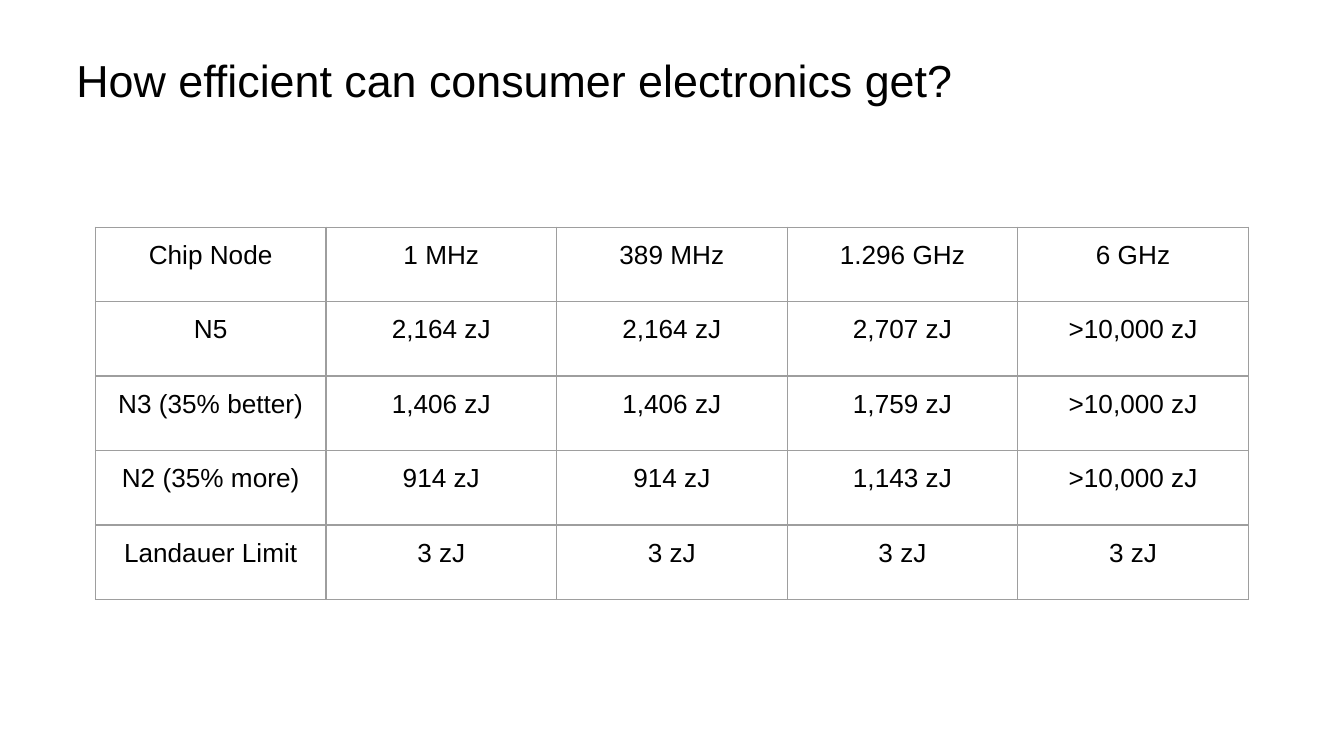
from typing import NamedTuple

from lxml import etree
from pptx import Presentation
from pptx import util as u
from pptx.dml.color import RGBColor
from pptx.enum import text
from pptx.oxml import ns

COLORS = {"text": "000000", "border": "9E9E9E", "background": "FFFFFF"}
FONT = "Arial"
INSET = u.Inches(0.1)
SLIDE_WIDTH = u.Inches(10)
SLIDE_HEIGHT = SLIDE_WIDTH * 9 // 16
TABLE_WIDTH = u.Inches(8.58)
TABLE_HEIGHT = u.Inches(2.77)


class EnergyRow(NamedTuple):
    node: str
    slow: str
    medium: str
    fast: str
    fastest: str


ROWS = [
    EnergyRow("Chip Node", "1 MHz", "389 MHz", "1.296 GHz", "6 GHz"),
    EnergyRow("N5", "2,164 zJ", "2,164 zJ", "2,707 zJ", ">10,000 zJ"),
    EnergyRow("N3 (35% better)", "1,406 zJ", "1,406 zJ", "1,759 zJ", ">10,000 zJ"),
    EnergyRow("N2 (35% more)", "914 zJ", "914 zJ", "1,143 zJ", ">10,000 zJ"),
    EnergyRow("Landauer Limit", "3 zJ", "3 zJ", "3 zJ", "3 zJ"),
]


def add_run(p, content: str, size: int) -> None:
    r = p.add_run()
    r.text = content
    r.font.name = FONT
    r.font.size = u.Pt(size)
    r.font.color.rgb = RGBColor.from_string(COLORS["text"])


def set_insets(box) -> None:
    box.margin_left = box.margin_right = INSET
    box.margin_top = box.margin_bottom = INSET


def add_borders(cell) -> None:
    tc_pr = cell._tc.get_or_add_tcPr()
    for side in ("lnL", "lnR", "lnT", "lnB"):
        ln = etree.SubElement(tc_pr, ns.qn(f"a:{side}"), w=str(u.Pt(0.75)))
        fill = etree.SubElement(ln, ns.qn("a:solidFill"))
        etree.SubElement(fill, ns.qn("a:srgbClr"), val=COLORS["border"])


def add_title(s, content: str) -> None:
    sp = s.shapes.add_textbox(
        u.Inches(0.47), u.Inches(0.29), u.Inches(8.34), u.Inches(0.61)
    )
    tf = sp.text_frame
    tf.word_wrap = True
    tf.auto_size = text.MSO_AUTO_SIZE.SHAPE_TO_FIT_TEXT
    set_insets(tf)
    add_run(tf.paragraphs[0], content, 24)


def add_energy_table(s, rows: list[EnergyRow]) -> None:
    n_rows, n_cols = len(rows), len(EnergyRow._fields)
    table = s.shapes.add_table(
        n_rows, n_cols, u.Inches(0.71), u.Inches(1.69), TABLE_WIDTH, TABLE_HEIGHT
    ).table
    table.first_row = table.horz_banding = False
    for row, values in zip(table.rows, rows):
        for cell, value in zip(row.cells, values):
            set_insets(cell)
            add_borders(cell)
            cell.fill.background()
            p = cell.text_frame.paragraphs[0]
            p.alignment = text.PP_ALIGN.CENTER
            add_run(p, value, 14)


def main() -> None:
    prs = Presentation()
    prs.slide_width, prs.slide_height = SLIDE_WIDTH, SLIDE_HEIGHT
    s = prs.slides.add_slide(prs.slide_layouts[6])
    s.background.fill.solid()
    s.background.fill.fore_color.rgb = RGBColor.from_string(COLORS["background"])
    add_title(s, "How efficient can consumer electronics get?")
    add_energy_table(s, ROWS)
    prs.save("out.pptx")


if __name__ == "__main__":
    main()
